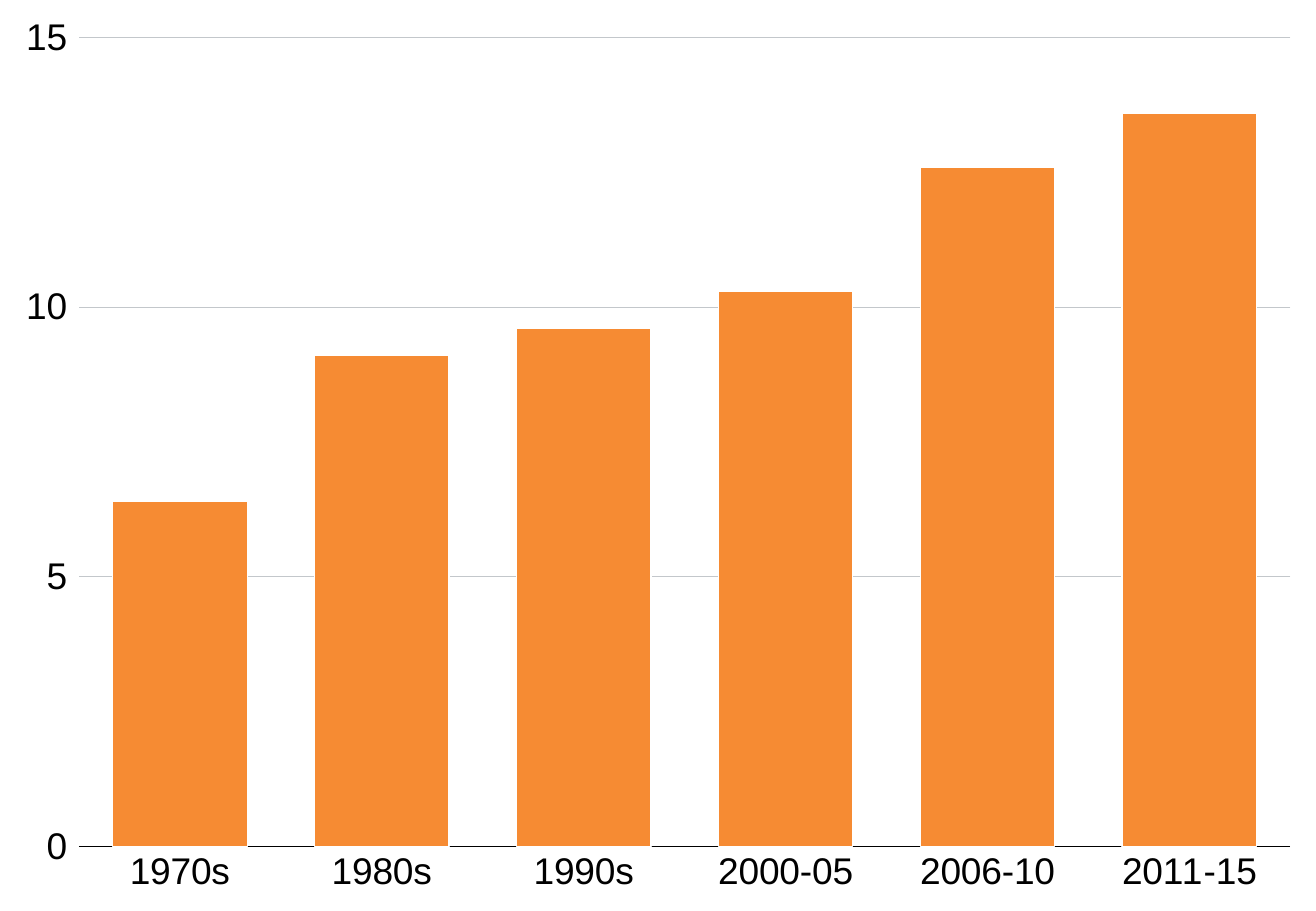
from pptx import Presentation
from pptx.chart.data import CategoryChartData
from pptx.dml.color import RGBColor
from pptx.enum.chart import XL_CHART_TYPE, XL_TICK_MARK
from pptx.oxml import parse_xml
from pptx.oxml.ns import nsdecls, qn
from pptx.util import Emu, Pt

COLUMN_CLUSTERED = XL_CHART_TYPE.COLUMN_CLUSTERED
TICK_NONE = XL_TICK_MARK.NONE
TICK_OUTSIDE = XL_TICK_MARK.OUTSIDE

BLACK = RGBColor(0x00, 0x00, 0x00)
WHITE = RGBColor(0xFF, 0xFF, 0xFF)
GRID_GRAY = RGBColor(0xC3, 0xC7, 0xCB)
ORANGE = RGBColor(0xF6, 0x8B, 0x33)

SCALE = 9144
WIDTH, HEIGHT = 1083, 750
PLOT_AREA = {"x": 65, "y": 31, "w": 997, "h": 666}
PERIOD_VALUES = {
    "1970s": 6.4,
    "1980s": 9.1,
    "1990s": 9.6,
    "2000-05": 10.3,
    "2006-10": 12.6,
    "2011-15": 13.6,
}


def px(length):
    return Emu(length * SCALE)


def apply_format(target, values):
    for name, value in values.items():
        setattr(target, name, value)


class ChartSlide:
    font_name = "Arial"
    line_width = Pt(0.75)

    def __init__(self, presentation):
        self.slide = presentation.slides.add_slide(presentation.slide_layouts[6])
        self.slide.background.fill.solid()
        self.slide.background.fill.fore_color.rgb = WHITE

    def style_font(self, font, size):
        apply_format(font, {"name": self.font_name, "size": Pt(size), "bold": False})
        font.color.rgb = BLACK

    def style_line(self, line, color):
        line.color.rgb = color
        line.width = self.line_width

    def style_axis(self, axis, values):
        apply_format(axis, values)
        self.style_font(axis.tick_labels.font, 22)

    def place_plot(self, chart):
        sizes = {"x": WIDTH, "y": HEIGHT, "w": WIDTH, "h": HEIGHT}
        parts = ['<c:layoutTarget val="inner"/>']
        parts += [f'<c:{key}Mode val="edge"/>' for key in "xy"]
        parts += [
            f'<c:{key} val="{length / sizes[key]:.4f}"/>'
            for key, length in PLOT_AREA.items()
        ]
        layout = parse_xml(
            f'<c:layout {nsdecls("c")}><c:manualLayout>'
            f'{"".join(parts)}</c:manualLayout></c:layout>'
        )
        plot_area = chart.element.find(qn("c:chart")).find(qn("c:plotArea"))
        plot_area.insert(0, layout)

    def add_column_chart(self, values):
        data = CategoryChartData()
        data.categories = list(values)
        data.add_series("Series 1", list(values.values()))
        frame = self.slide.shapes.add_chart(
            COLUMN_CLUSTERED, 0, 0, px(WIDTH), px(HEIGHT), data
        )
        chart = frame.chart
        apply_format(chart, {"has_title": False, "has_legend": False})
        self.style_font(chart.font, 18)
        self.place_plot(chart)

        plot = chart.plots[0]
        apply_format(plot, {"gap_width": 50, "vary_by_categories": False})
        columns = plot.series[0].format
        columns.fill.solid()
        columns.fill.fore_color.rgb = ORANGE
        self.style_line(columns.line, WHITE)

        self.style_axis(chart.category_axis, {
            "major_tick_mark": TICK_NONE,
            "minor_tick_mark": TICK_NONE,
            "has_major_gridlines": False,
        })
        self.style_line(chart.category_axis.format.line, BLACK)

        value_axis = chart.value_axis
        self.style_axis(value_axis, {
            "minimum_scale": 0,
            "maximum_scale": 15,
            "major_unit": 5,
            "major_tick_mark": TICK_OUTSIDE,
            "minor_tick_mark": TICK_NONE,
            "has_major_gridlines": True,
        })
        apply_format(value_axis.tick_labels, {
            "number_format": "0",
            "number_format_is_linked": False,
        })
        value_axis.format.line.fill.background()
        self.style_line(value_axis.major_gridlines.format.line, GRID_GRAY)


def main():
    presentation = Presentation()
    apply_format(presentation, {"slide_width": px(WIDTH), "slide_height": px(HEIGHT)})
    ChartSlide(presentation).add_column_chart(PERIOD_VALUES)
    presentation.save("out.pptx")


if __name__ == "__main__":
    main()
